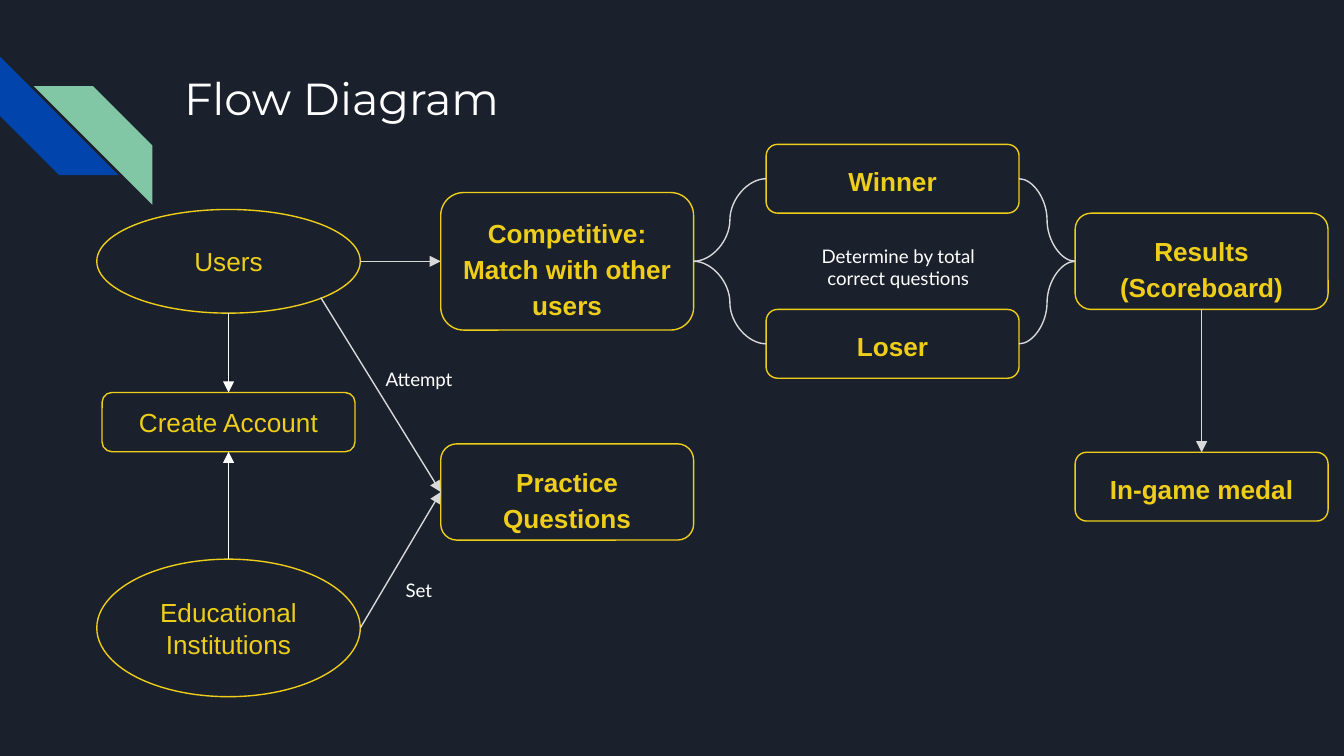
from dataclasses import dataclass

from pptx import Presentation
from pptx.dml.color import RGBColor
from pptx.enum.shapes import MSO_CONNECTOR, MSO_SHAPE
from pptx.enum.text import MSO_ANCHOR, PP_ALIGN
from pptx.oxml.ns import qn
from pptx.shapes.autoshape import Shape
from pptx.slide import Slide
from pptx.util import Cm, Pt
from lxml import etree

OVAL, CARD, STRIPE = MSO_SHAPE.OVAL, MSO_SHAPE.ROUNDED_RECTANGLE, MSO_SHAPE.DIAGONAL_STRIPE
STRAIGHT, CURVE = MSO_CONNECTOR.STRAIGHT, MSO_CONNECTOR.CURVE
TOP, MIDDLE = MSO_ANCHOR.TOP, MSO_ANCHOR.MIDDLE
LEFT, CENTER = PP_ALIGN.LEFT, PP_ALIGN.CENTER

COLORS = {
    "background": "1B212C",
    "blue": "0145AC",
    "green": "82C7A5",
    "yellow": "EECE1A",
    "white": "FFFFFF",
    "gray": "D9D9D9",
}
SITES = {
    "top": (0.5, 0),
    "left": (0, 0.5),
    "bottom": (0.5, 1),
    "right": (1, 0.5),
    "lower right": (0.85, 0.85),
}
SITE_INDEX = {"top": 0, "left": 1, "bottom": 2, "right": 3}
INSET = 0.25
OVAL_W, CARD_W = 4.98, 4.78
COL_OVAL, COL_ACCOUNT, COL_MODE, COL_OUTCOME, COL_RESULT = 1.83, 1.93, 8.33, 14.48, 20.32


@dataclass
class Stripe:
    x: float
    y: float
    rotation: int
    color: str


@dataclass
class Node:
    name: str
    text: str
    x: float
    y: float
    w: float
    h: float
    kind: MSO_SHAPE = CARD
    strong: bool = True


@dataclass
class Link:
    start: str
    start_site: str
    end: str
    end_site: str
    color: str = "gray"
    kind: MSO_CONNECTOR = STRAIGHT


@dataclass
class Label:
    text: str
    x: float
    y: float
    w: float
    h: float = 1.12
    size: int = 10
    font: str = "Lato"
    align: PP_ALIGN = CENTER


STRIPES = [Stripe(0, 1.07, 270, "blue"), Stripe(0.64, 1.63, 90, "green")]
NODES = [
    Node("users", "Users", COL_OVAL, 3.96, OVAL_W, 1.96, OVAL, False),
    Node("schools", "Educational Institutions", COL_OVAL, 10.57, OVAL_W, 2.6, OVAL, False),
    Node("account", "Create Account", COL_ACCOUNT, 7.42, CARD_W, 1.12, CARD, False),
    Node("match", "Competitive:\nMatch with other users", COL_MODE, 3.64, CARD_W, 2.6),
    Node("practice", "Practice Questions", COL_MODE, 8.39, CARD_W, 1.82),
    Node("winner", "Winner", COL_OUTCOME, 2.73, CARD_W, 1.3),
    Node("loser", "Loser", COL_OUTCOME, 5.85, CARD_W, 1.3),
    Node("results", "Results\v(Scoreboard)", COL_RESULT, 4.03, CARD_W, 1.82),
    Node("medal", "In-game medal", COL_RESULT, 8.55, CARD_W, 1.3),
]
LINKS = [
    Link("schools", "top", "account", "bottom", "white"),
    Link("users", "bottom", "account", "top", "white"),
    Link("users", "right", "match", "left"),
    Link("users", "lower right", "practice", "left"),
    Link("schools", "right", "practice", "left"),
    Link("match", "right", "winner", "left", kind=CURVE),
    Link("match", "right", "loser", "left", kind=CURVE),
    Link("results", "left", "winner", "right", kind=CURVE),
    Link("results", "left", "loser", "right", kind=CURVE),
    Link("results", "bottom", "medal", "top"),
]
LABELS = [
    Label("Flow Diagram", 3.23, 1.09, 19.56, 2.54, 24, "Montserrat", LEFT),
    Label("Attempt", 6.7, 6.75, 2.44),
    Label("Set", 7.14, 10.72, 1.55),
    Label("Determine by total correct questions", 15.11, 4.37, 3.73),
]


def rgb(name: str) -> RGBColor:
    return RGBColor.from_string(COLORS[name])


def write(sp: Shape, text: str, size: int, font: str, color: str,
          align: PP_ALIGN = CENTER, anchor: MSO_ANCHOR = TOP,
          bold: bool = False, spacing: float = 1.0) -> None:
    tf = sp.text_frame
    tf.word_wrap = True
    tf.vertical_anchor = anchor
    tf.margin_left = tf.margin_right = tf.margin_top = tf.margin_bottom = Cm(INSET)
    tf.text = text
    for p in tf.paragraphs:
        p.alignment = align
        p.line_spacing = spacing
        p.font.size = Pt(size)
        p.font.name = font
        p.font.bold = bold
        p.font.color.rgb = rgb(color)


def add_stripe(s: Slide, stripe: Stripe) -> None:
    sp = s.shapes.add_shape(STRIPE, Cm(stripe.x), Cm(stripe.y), Cm(2.24), Cm(2.24))
    sp.shadow.inherit = False
    sp.rotation = stripe.rotation
    sp.fill.solid()
    sp.fill.fore_color.rgb = rgb(stripe.color)
    sp.line.fill.background()


def add_node(s: Slide, node: Node) -> Shape:
    sp = s.shapes.add_shape(node.kind, Cm(node.x), Cm(node.y), Cm(node.w), Cm(node.h))
    sp.shadow.inherit = False
    sp.fill.background()
    sp.line.color.rgb = rgb("yellow")
    sp.line.width = Pt(0.75)
    if node.strong:
        write(sp, node.text, 14, "Arial", "yellow", bold=True, spacing=1.15)
    else:
        write(sp, node.text, 14, "Arial", "yellow", anchor=MIDDLE)
    return sp


def site_point(sp: Shape, site: str) -> tuple[int, int]:
    fx, fy = SITES[site]
    return int(sp.left + fx * sp.width), int(sp.top + fy * sp.height)


def add_link(s: Slide, link: Link, shapes: dict[str, Shape]) -> None:
    start, end = shapes[link.start], shapes[link.end]
    line = s.shapes.add_connector(
        link.kind, *site_point(start, link.start_site), *site_point(end, link.end_site))
    if start.auto_shape_type == CARD:
        line.begin_connect(start, SITE_INDEX[link.start_site])
    line.end_connect(end, SITE_INDEX[link.end_site])
    line.line.color.rgb = rgb(link.color)
    line.line.width = Pt(0.75)
    if link.kind == STRAIGHT:
        etree.SubElement(line.line._get_or_add_ln(), qn("a:tailEnd"), type="triangle")
    etree.SubElement(line._element.spPr, qn("a:effectLst"))


def add_label(s: Slide, label: Label) -> None:
    sp = s.shapes.add_textbox(Cm(label.x), Cm(label.y), Cm(label.w), Cm(label.h))
    write(sp, label.text, label.size, label.font, "white", label.align)


def main() -> None:
    prs = Presentation()
    prs.slide_width, prs.slide_height = Cm(25.4), Cm(14.29)
    s = prs.slides.add_slide(prs.slide_layouts[6])
    s.background.fill.solid()
    s.background.fill.fore_color.rgb = rgb("background")
    for stripe in STRIPES:
        add_stripe(s, stripe)
    shapes = {node.name: add_node(s, node) for node in NODES}
    for link in LINKS:
        add_link(s, link, shapes)
    for label in LABELS:
        add_label(s, label)
    prs.save("out.pptx")


if __name__ == "__main__":
    main()
